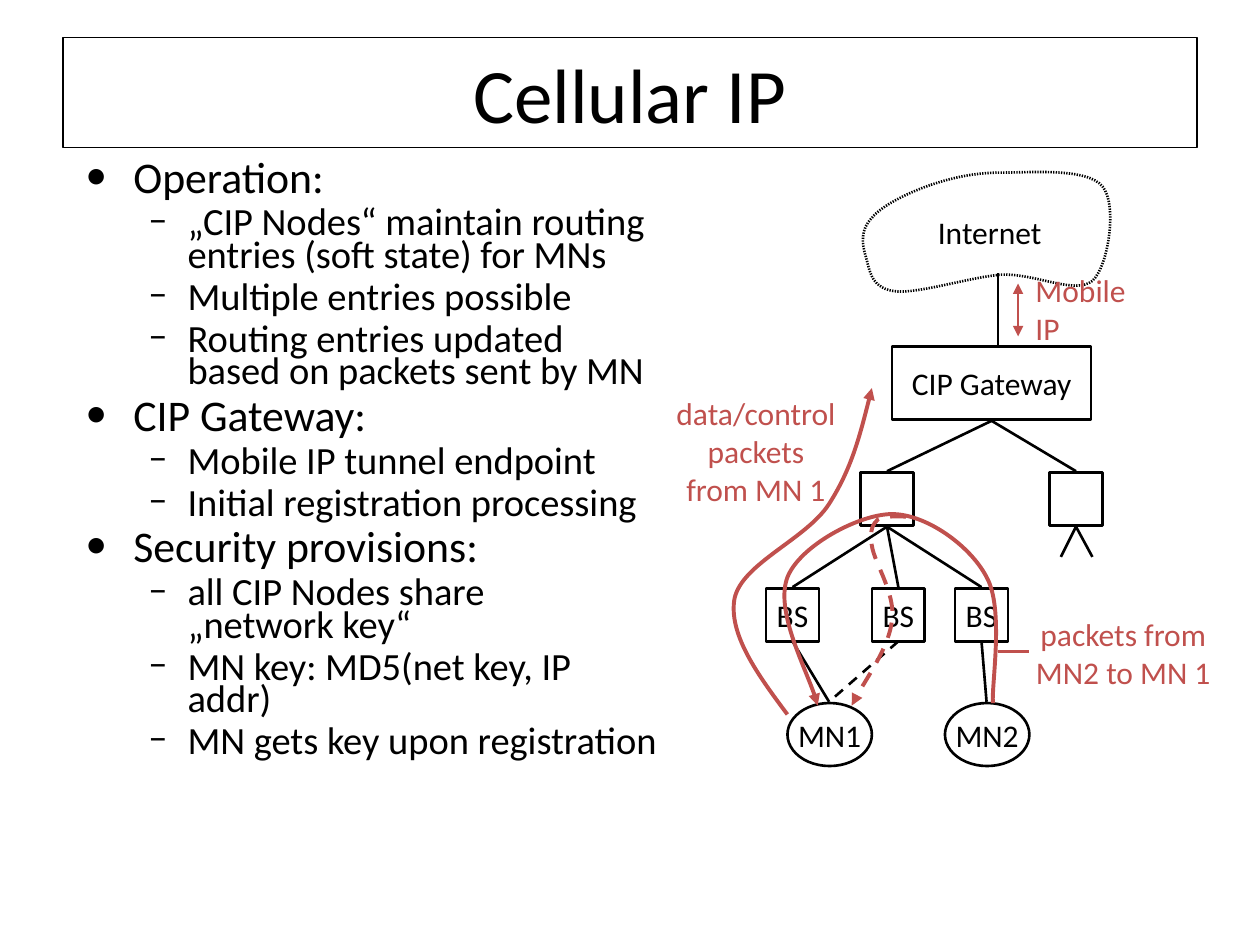
from typing import NamedTuple, Optional

from lxml.etree import SubElement
from pptx import Presentation
from pptx.dml.color import RGBColor
from pptx.enum.dml import MSO_LINE_DASH_STYLE as Dash
from pptx.enum.shapes import MSO_CONNECTOR, MSO_SHAPE as Preset
from pptx.enum.text import MSO_ANCHOR as Anchor, MSO_AUTO_SIZE as AutoSize, PP_ALIGN as Align
from pptx.oxml.ns import qn
from pptx.util import Inches, Pt

BLACK = RGBColor(0x00, 0x00, 0x00)
WHITE = RGBColor(0xFF, 0xFF, 0xFF)
RED = RGBColor(0xC0, 0x50, 0x4D)
FONT = "Calibri"
BOX = 0.42

Point = tuple[float, float]


class Node(NamedTuple):
    text: str
    left: float
    top: float
    width: float = BOX
    height: float = BOX
    preset: Preset = Preset.RECTANGLE
    size: float = 18
    line_width: float = 1.5


class Link(NamedTuple):
    start: Point
    end: Point
    color: RGBColor = BLACK
    dash: Optional[Dash] = None
    ends: tuple[str, ...] = ()


class Curve(NamedTuple):
    """A start point followed by groups of three Bezier points."""
    points: list[Point]
    color: RGBColor = RED
    width: float = 2.25
    dash: Optional[Dash] = None
    ends: tuple[str, ...] = ("tailEnd",)
    closed: bool = False


class Label(NamedTuple):
    lines: list[str]
    left: float
    top: float
    width: float
    height: float
    color: RGBColor = RED
    align: Align = Align.CENTER


class Level(NamedTuple):
    bullet: str
    size: float
    margin: float
    hanging: float
    space_before: float


LEVELS = [Level("•", 25, 0.38, 0.38, 6.2), Level("–", 22, 0.81, 0.31, 5.5)]
OUTLINE = [
    (0, "Operation:"),
    (1, "„CIP Nodes“ maintain routing entries (soft state) for MNs"),
    (1, "Multiple entries possible"),
    (1, "Routing entries updated based on packets sent by MN"),
    (0, "CIP Gateway:"),
    (1, "Mobile IP tunnel endpoint"),
    (1, "Initial registration processing"),
    (0, "Security provisions:"),
    (1, "all CIP Nodes share\v„network key“"),
    (1, "MN key: MD5(net key, IP addr)"),
    (1, "MN gets key upon registration"),
]
TITLE = Node("Cellular IP", 0.5, 0.3, 9, 0.87, size=44, line_width=0.75)

GATEWAY, ROUTER, ROUTER_2 = (7.87, 3.34), (7.04, 4.18), (8.54, 4.18)
MN1_TOP, MN2_TOP = (6.58, 5.57), (7.83, 5.57)
BS_CENTERS = (6.29, 7.13, 7.79)
LINKS = [
    Link((7.92, 2.17), (7.92, 2.75)),
    *[Link(GATEWAY, (x, 3.74)) for x in (ROUTER[0], ROUTER_2[0])],
    *[Link(ROUTER_2, (x, 4.42)) for x in (8.42, 8.67)],
    *[Link(ROUTER, (x, 4.66)) for x in BS_CENTERS],
    Link((BS_CENTERS[0], 5.09), MN1_TOP),
    Link((BS_CENTERS[1], 5.09), MN1_TOP, dash=Dash.DASH),
    Link((BS_CENTERS[2], 5.09), MN2_TOP),
    Link((8.08, 2.25), (8.08, 2.67), RED, ends=("headEnd", "tailEnd")),
    Link((7.92, 5.17), (8.17, 5.17), RED),
]
NODES = [
    Node("CIP Gateway", 7.08, 2.75, 1.58, 0.58),
    *[Node("", x, 3.75) for x in (6.83, 8.33)],
    *[Node("BS", x, 4.67) for x in (6.08, 6.92, 7.58)],
    *[Node(name, x, 5.58, 0.67, 0.5, Preset.OVAL)
      for name, x in (("MN1", 6.25), ("MN2", 7.5))],
]
CLOUD = Curve(
    [(7.38, 1.47), (7.21, 1.53), (7, 1.63), (6.92, 1.73),
     (6.83, 1.82), (6.84, 1.93), (6.87, 2.03),
     (6.9, 2.12), (6.9, 2.28), (7.09, 2.31),
     (7.27, 2.34), (7.69, 2.2), (7.95, 2.18),
     (8.22, 2.17), (8.53, 2.34), (8.67, 2.23),
     (8.8, 2.11), (8.87, 1.62), (8.75, 1.48),
     (8.63, 1.33), (8.18, 1.37), (7.95, 1.37),
     (7.73, 1.37), (7.56, 1.41), (7.38, 1.47)],
    BLACK, 1.5, ends=(), closed=True)
ROUTES = [
    Curve([(6.25, 5.67), (6.01, 5.35), (5.78, 5.03), (5.83, 4.75),
           (5.89, 4.47), (6.4, 4.28), (6.58, 4),
           (6.76, 3.72), (6.84, 3.4), (6.92, 3.08)]),
    Curve([(7.88, 5.58), (7.87, 5.42), (7.97, 4.83), (7.83, 4.58),
           (7.7, 4.33), (7.35, 4.08), (7.08, 4.08),
           (6.82, 4.08), (6.35, 4.33), (6.25, 4.58),
           (6.15, 4.84), (6.44, 5.39), (6.49, 5.6)]),
    Curve([(7.19, 4.1), (7.16, 4.1), (7.02, 4.09), (6.97, 4.12),
           (6.93, 4.16), (6.9, 4.2), (6.92, 4.33),
           (6.94, 4.47), (7.11, 4.71), (7.08, 4.92),
           (7.06, 5.13), (6.83, 5.45), (6.76, 5.6)], dash=Dash.DASH),
]
LABELS = [
    Label(["Internet"], 7.34, 1.64, 1.03, 0.4, BLACK),
    Label(["Mobile IP"], 8.12, 2.25, 1.16, 0.4, align=Align.LEFT),
    Label(["data/control", "packets", "from MN 1"], 5.26, 3.08, 1.48, 1),
    Label(["packets from", "MN2 to MN 1"], 8.12, 4.83, 1.59, 0.7),
]


def style_line(line, color: RGBColor, width: float, dash: Optional[Dash] = None,
               ends: tuple[str, ...] = ()) -> None:
    line.color.rgb = color
    line.width = Pt(width)
    if dash is not None:
        line.dash_style = dash
    for end in ends:
        SubElement(line._get_or_add_ln(), qn(f"a:{end}"), type="triangle")


def style_paragraph(paragraph, text: str, size: float, color: RGBColor, align: Align) -> None:
    paragraph.text = text
    paragraph.alignment = align
    paragraph.font.name = FONT
    paragraph.font.size = Pt(size)
    paragraph.font.color.rgb = color


def write_lines(frame, lines: list[str], size: float, color: RGBColor, align: Align) -> None:
    frame.word_wrap = False
    frame.vertical_anchor = Anchor.MIDDLE
    for index, text in enumerate(lines):
        paragraph = frame.add_paragraph() if index else frame.paragraphs[0]
        style_paragraph(paragraph, text, size, color, align)


def draw_node(slide, node: Node) -> None:
    shape = slide.shapes.add_shape(node.preset, *map(Inches, node[1:5]))
    shape.shadow.inherit = False
    shape.fill.solid()
    shape.fill.fore_color.rgb = WHITE
    style_line(shape.line, BLACK, node.line_width)
    if node.text:
        write_lines(shape.text_frame, [node.text], node.size, BLACK, Align.CENTER)


def draw_link(slide, link: Link) -> None:
    connector = slide.shapes.add_connector(
        MSO_CONNECTOR.STRAIGHT, *map(Inches, link.start + link.end))
    SubElement(connector._element.spPr, qn("a:effectLst"))
    style_line(connector.line, link.color, 1.5, link.dash, link.ends)


def draw_curve(slide, curve: Curve):
    """Build the control polygon, then turn each three segments into one Bezier."""
    start, *rest = [tuple(map(Inches, point)) for point in curve.points]
    builder = slide.shapes.build_freeform(*start)
    builder.add_line_segments(rest, close=curve.closed)
    shape = builder.convert_to_shape()
    segments = list(shape._element.iter(qn("a:lnTo")))
    for first in range(0, len(segments), 3):
        group = segments[first:first + 3]
        group[0].tag = qn("a:cubicBezTo")
        for segment in group[1:]:
            group[0].append(segment[0])
            segment.getparent().remove(segment)
    shape.shadow.inherit = False
    shape.fill.background()
    style_line(shape.line, curve.color, curve.width, curve.dash, curve.ends)
    return shape


def draw_cloud(slide) -> None:
    """Draw the Internet outline with dots finer than the preset dashes."""
    shape = draw_curve(slide, CLOUD)
    dashes = SubElement(shape.line._get_or_add_ln(), qn("a:custDash"))
    SubElement(dashes, qn("a:ds"), d="50000", sp="50000")


def draw_label(slide, label: Label) -> None:
    box = slide.shapes.add_textbox(*map(Inches, label[1:5]))
    write_lines(box.text_frame, label.lines, 18, label.color, label.align)
    box.text_frame.auto_size = AutoSize.SHAPE_TO_FIT_TEXT


def draw_outline(slide) -> None:
    frame = slide.shapes.add_textbox(*map(Inches, (0.58, 1.25, 4.75, 5.58))).text_frame
    frame.word_wrap = True
    for index, (depth, text) in enumerate(OUTLINE):
        level = LEVELS[depth]
        paragraph = frame.add_paragraph() if index else frame.paragraphs[0]
        paragraph.level = depth
        paragraph.line_spacing = 0.7
        paragraph.space_before = Pt(level.space_before)
        properties = paragraph._p.get_or_add_pPr()
        properties.set("marL", str(Inches(level.margin)))
        properties.set("indent", str(-Inches(level.hanging)))
        SubElement(properties, qn("a:buFont"), typeface=FONT)
        SubElement(properties, qn("a:buChar"), char=level.bullet)
        style_paragraph(paragraph, text, level.size, BLACK, Align.LEFT)


def main() -> None:
    presentation = Presentation()
    presentation.slide_width, presentation.slide_height = Inches(10), Inches(7.5)
    slide = presentation.slides.add_slide(presentation.slide_layouts[6])
    draw_node(slide, TITLE)
    draw_outline(slide)
    draw_cloud(slide)
    for draw, items in ((draw_link, LINKS), (draw_node, NODES),
                        (draw_curve, ROUTES), (draw_label, LABELS)):
        for item in items:
            draw(slide, item)
    presentation.save("out.pptx")


if __name__ == "__main__":
    main()
